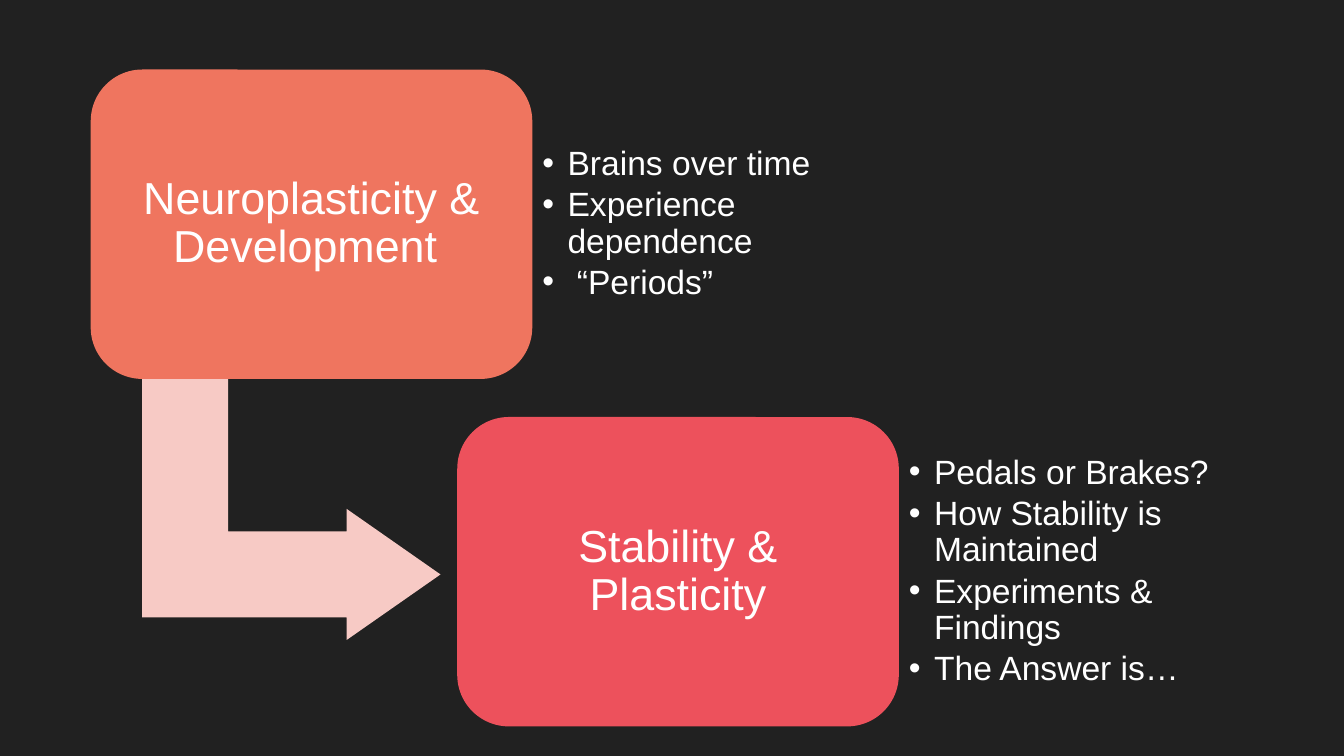
"""Build a two-step slide on neuroplasticity and stability."""
from pptx import Presentation
from pptx.dml.color import RGBColor
from pptx.enum.shapes import MSO_SHAPE as Preset
from pptx.enum.text import MSO_ANCHOR as Anchor, MSO_AUTO_SIZE as AutoSize, PP_ALIGN as Align
from pptx.util import Pt

FONT = "Arial"
WHITE = "FFFFFF"
BOX_WIDTH, BOX_HEIGHT = 315.4, 221
LEFT, TOP = 64.8, 49.7
STEP_X, STEP_Y = 261.8, 248.2
LIST_DROP, LIST_WIDTH, LIST_HEIGHT = 21, 229.7, 178.6
INDENT = 18
STEPS = [
    ("Neuroplasticity & Development ", "EF755F",
     ["Brains over time", "Experience dependence", " “Periods”"]),
    ("Stability & Plasticity", "ED515C",
     ["Pedals or Brakes?", "How Stability is Maintained",
      "Experiments & Findings", "The Answer is…"]),
]


def set_fill(fill, color):
    fill.solid()
    fill.fore_color.rgb = RGBColor.from_string(color)


def add_preset(page, preset, bounds, color, adjustments):
    shape = page.shapes.add_shape(preset, *map(Pt, bounds))
    shape.shadow.inherit = False
    set_fill(shape.fill, color)
    shape.line.fill.background()
    for index, value in enumerate(adjustments):
        shape.adjustments[index] = value
    return shape


def format_frame(frame, inset, size, align, space_after):
    frame.word_wrap = True
    frame.auto_size = AutoSize.NONE
    frame.vertical_anchor = Anchor.MIDDLE
    frame.margin_left = frame.margin_right = Pt(inset)
    frame.margin_top = frame.margin_bottom = Pt(inset)
    for para in frame.paragraphs:
        para.alignment = align
        para.line_spacing = 0.9
        para.space_before = Pt(0)
        para.space_after = Pt(space_after)
        for span in para.runs:
            span.font.name = FONT
            span.font.size = Pt(size)
            span.font.color.rgb = RGBColor.from_string(WHITE)


def add_heading_box(page, left, top, text, color):
    box = add_preset(page, Preset.ROUNDED_RECTANGLE,
                     (left, top, BOX_WIDTH, BOX_HEIGHT), color, [0.167])
    box.text_frame.text = text
    format_frame(box.text_frame, 9.6, 32, Align.CENTER, 0)


def fill_list(body, left, top, items):
    body.left, body.top = Pt(left), Pt(top)
    body.width, body.height = Pt(LIST_WIDTH), Pt(LIST_HEIGHT)
    frame = body.text_frame
    frame.text = "\n".join(items)
    for para in frame.paragraphs:
        properties = para._p.get_or_add_pPr()
        properties.set("marL", str(Pt(INDENT)))
        properties.set("indent", str(-Pt(INDENT)))
    format_frame(frame, 7.2, 24, Align.LEFT, 3.6)


def main():
    deck = Presentation()
    deck.slide_width, deck.slide_height = Pt(960), Pt(540)
    page = deck.slides.add_slide(deck.slide_layouts.get_by_name("Two Content"))
    set_fill(page.background.fill, "212121")
    title = page.shapes.title.element
    title.getparent().remove(title)

    arrow = add_preset(page, Preset.BENT_UP_ARROW, (114.5, 257, 187.2, 213.1),
                       "F7CAC5", [0.328, 0.25, 0.358])
    arrow.rotation = 90
    bodies = list(page.placeholders)
    for index, (heading, color, items) in enumerate(STEPS):
        left, top = LEFT + index * STEP_X, TOP + index * STEP_Y
        add_heading_box(page, left, top, heading, color)
        fill_list(bodies[index], left + BOX_WIDTH, top + LIST_DROP, items)

    deck.save("out.pptx")


if __name__ == "__main__":
    main()
